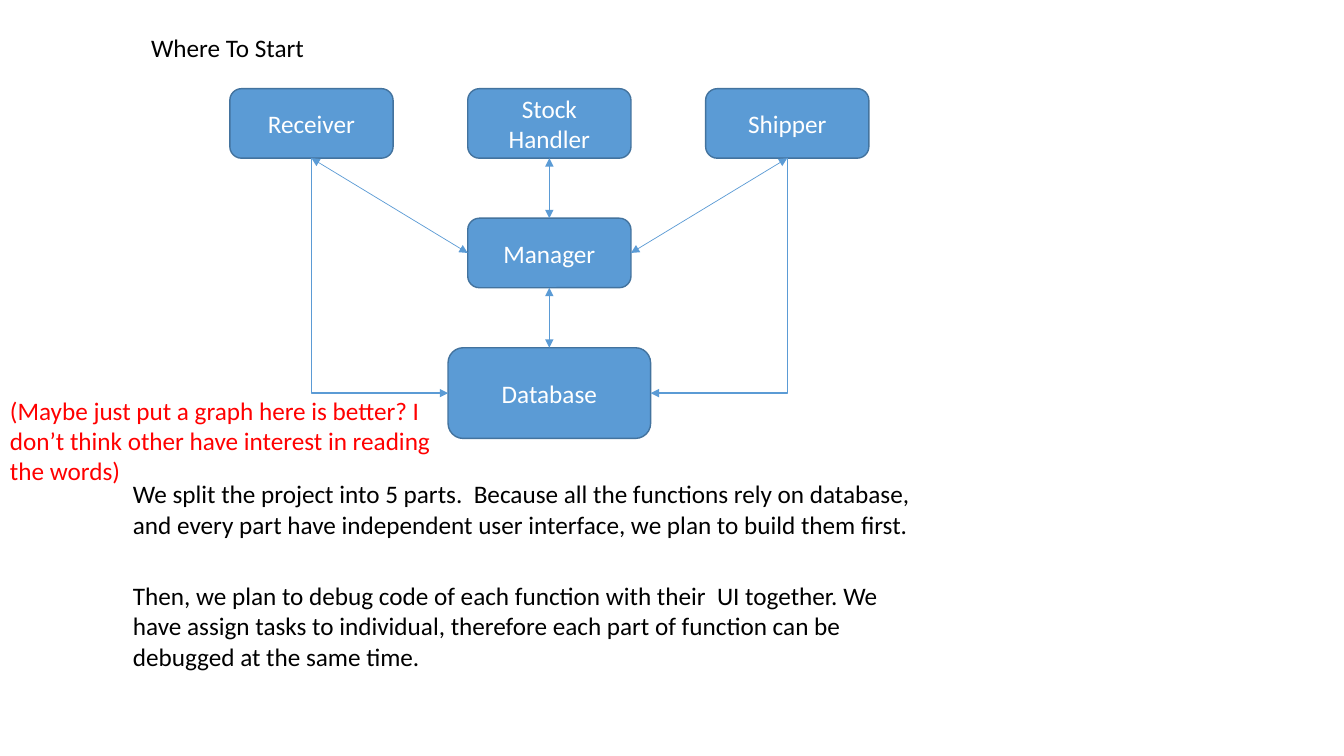
from collections import namedtuple
from lxml.etree import SubElement
from pptx import Presentation
from pptx.dml.color import RGBColor
from pptx.enum.shapes import MSO_CONNECTOR as LINK, MSO_SHAPE as SHAPE
from pptx.enum.text import MSO_ANCHOR as ANCHOR, PP_ALIGN as ALIGN
from pptx.oxml.ns import qn
from pptx.util import Inches, Pt

COLORS = {"node": "5B9BD5", "outline": "43739E", "label": "FFFFFF",
          "body": "000000", "remark": "FF0000"}
FONT = "Calibri"
TOP, LEFT, BOTTOM, RIGHT = range(4)

Box = namedtuple("Box", "left top width height")


def color(name):
    return RGBColor.from_string(COLORS[name])


def percent(box, left, top, width, height):
    return Box(round(box.left + box.width * left / 100),
               round(box.top + box.height * top / 100),
               round(box.width * width / 100),
               round(box.height * height / 100))


def write(shape, text, ink):
    frame = shape.text_frame
    frame.word_wrap = True
    frame.text = text
    for para in frame.paragraphs:
        for span in para.runs:
            span.font.name = FONT
            span.font.size = Pt(18)
            span.font.color.rgb = color(ink)
    return frame


def add_text(page, box, text, ink="body"):
    write(page.shapes.add_textbox(*box), text, ink)


def add_node(page, center_x, top, size, text):
    width, height = size
    node = page.shapes.add_shape(SHAPE.ROUNDED_RECTANGLE,
                                 round(center_x - width / 2), round(top), width, height)
    node.shadow.inherit = False
    node.fill.solid()
    node.fill.fore_color.rgb = color("node")
    node.line.color.rgb = color("outline")
    node.line.width = Pt(1)
    frame = write(node, text, "label")
    frame.vertical_anchor = ANCHOR.MIDDLE
    frame.paragraphs[0].alignment = ALIGN.CENTER
    return node


def add_link(page, start, start_side, end, end_side, weight=1,
             kind=LINK.STRAIGHT, ends=("headEnd", "tailEnd")):
    link = page.shapes.add_connector(kind, 0, 0, 0, 0)
    link.begin_connect(start, start_side)
    link.end_connect(end, end_side)
    link.line.color.rgb = color("node")
    link.line.width = Pt(weight)
    properties = link._element.spPr
    outline = properties.find(qn("a:ln"))
    for name in ends:
        SubElement(outline, qn("a:" + name), type="triangle")
    SubElement(properties, qn("a:effectLst"))
    return link


def add_corner_link(page, start, end, end_side):
    link = add_link(page, start, BOTTOM, end, end_side, kind=LINK.ELBOW, ends=("tailEnd",))
    center_x = link.left + link.width / 2
    center_y = link.top + link.height / 2
    width, height = link.height, link.width
    properties = link._element.spPr
    properties.find(qn("a:prstGeom")).set("prst", "bentConnector2")
    frame = properties.find(qn("a:xfrm"))
    frame.set("rot", "16200000" if end_side == LEFT else "5400000")
    frame.set("flipH", "1" if end_side == LEFT else "0")
    link.left, link.top = round(center_x - width / 2), round(center_y - height / 2)
    link.width, link.height = width, height


def draw_diagram(page, box):
    node_size = percent(box, 0, 0, 25.55, 19.88)[2:]
    database_size = percent(box, 0, 0, 31.7, 25.94)[2:]
    column = (box.width - node_size[0]) / 2
    row = (box.height - database_size[1]) / 2
    first = box.left + node_size[0] / 2
    middle = first + column

    receiver, stock_handler, shipper = [
        add_node(page, first + index * column, box.top, node_size, name)
        for index, name in enumerate(("Receiver", "Stock Handler", "Shipper"))]
    manager = add_node(page, middle, box.top + row, node_size, "Manager")
    database = add_node(page, middle, box.top + 2 * row, database_size, "Database")

    for upper, lower in ((stock_handler, manager), (manager, database)):
        add_link(page, upper, BOTTOM, lower, TOP)
    for node, side in ((receiver, LEFT), (shipper, RIGHT)):
        add_link(page, node, BOTTOM, manager, side, weight=0.5)
        add_corner_link(page, node, database, side)


def draw_explanation(page, box):
    add_text(page, percent(box, 0, 0, 100, 35),
             "We split the project into 5 parts.\u00a0 Because all the functions rely on "
             "database, and every part have independent user interface, we plan to "
             "build them first.")
    add_text(page, percent(box, 0, 50, 100, 50),
             "Then, we plan to debug code of each function with their  UI together. "
             "We have assign tasks to individual, therefore each part of function can "
             "be debugged at the same time.")


def draw_start_slide(deck):
    page = deck.slides.add_slide(deck.slide_layouts[6])
    whole = Box(0, 0, deck.slide_width, deck.slide_height)
    draw_diagram(page, percent(whole, 17.1, 11.73, 47.55, 46.27))
    add_text(page, percent(whole, 10.5, 3.6, 22.05, 5.33), "Where To Start")
    draw_explanation(page, percent(whole, 9.15, 62.67, 60.23, 26.93))
    add_text(page, percent(whole, 0, 51.6, 35.7, 13.47),
             "(Maybe just put a graph here is better? I don\u2019t think other have "
             "interest in reading the words)", "remark")


deck = Presentation()
deck.slide_width, deck.slide_height = Inches(13.33), Inches(7.5)
draw_start_slide(deck)
deck.save("out.pptx")
